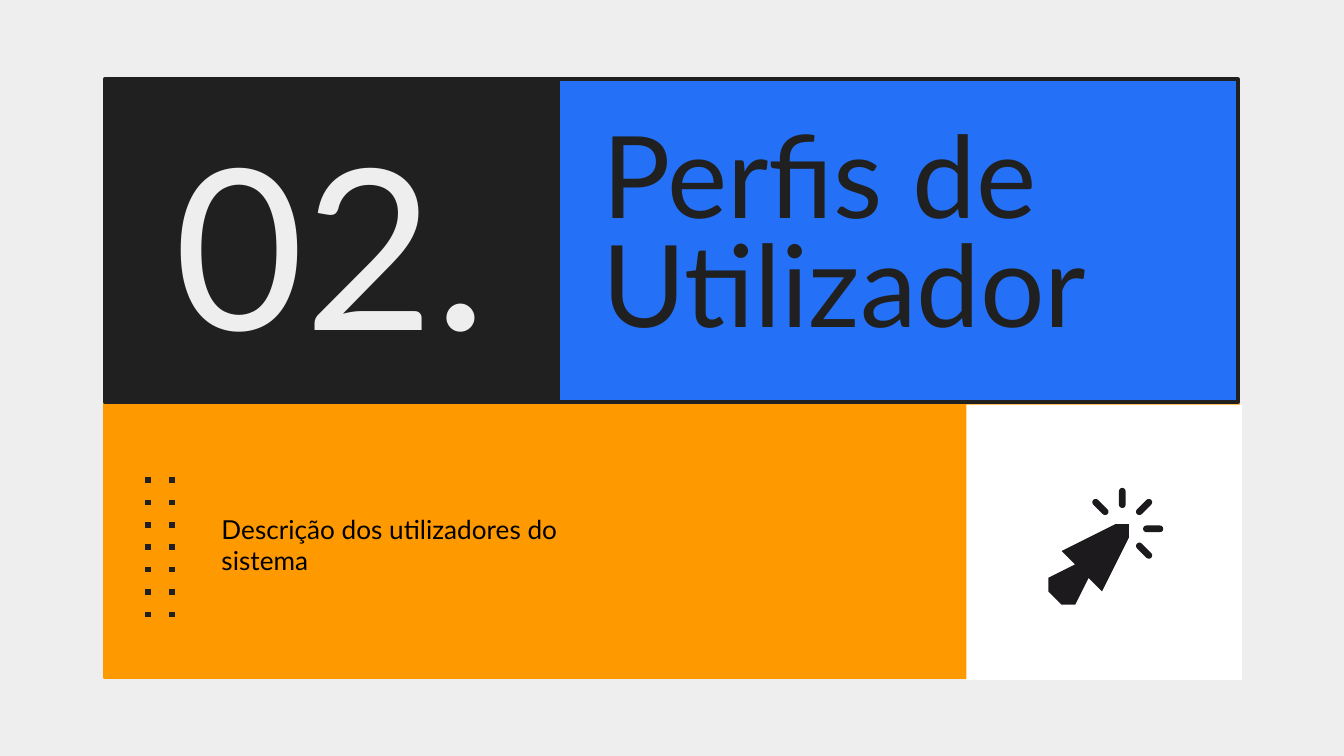
from math import cos, radians, sin

from lxml.etree import SubElement
from pptx import Presentation
from pptx.dml.color import RGBColor
from pptx.enum.shapes import MSO_CONNECTOR, MSO_SHAPE
from pptx.enum.text import MSO_ANCHOR, MSO_AUTO_SIZE, PP_ALIGN
from pptx.oxml.ns import qn
from pptx.util import Inches, Pt

INK = {"page": "EEEEEE", "dark": "202020", "blue": "2471F7", "gold": "FF9900",
       "white": "FFFFFF", "black": "000000", "icon": "1D1A1E"}
INK = {name: RGBColor.from_string(code) for name, code in INK.items()}

deck = Presentation()
deck.slide_width = Inches(10)
deck.slide_height = deck.slide_width * 9 // 16
unit = deck.slide_width // 100  # the grid has 100 columns of square cells

# Grid columns and rows
left, mid, right = 7.8, 41.5, 92.1
top, fold, base = 5.9, 29.9, 50.4

slide = deck.slides.add_slide(deck.slide_layouts[5])
slide.background.fill.solid()
slide.background.fill.fore_color.rgb = INK["page"]
shapes = slide.shapes


def paint(shape, fill, edge=None):
    shape.shadow.inherit = False
    shape.fill.solid()
    shape.fill.fore_color.rgb = INK[fill]
    if edge:
        shape.line.color.rgb = INK[edge]
        shape.line.width = Pt(2.25)
    else:
        shape.line.fill.background()


def write(shape, text, size, color, align=PP_ALIGN.LEFT, gap=None):
    frame = shape.text_frame
    frame.text = text
    frame.word_wrap = True
    frame.auto_size = MSO_AUTO_SIZE.NONE
    frame.vertical_anchor = MSO_ANCHOR.MIDDLE
    frame.margin_left = frame.margin_right = unit
    frame.margin_top = frame.margin_bottom = unit
    line = frame.paragraphs[0]
    line.alignment = align
    line.line_spacing = gap
    font = line.runs[0].font
    font.name, font.size = "Lato", Pt(size)
    font.color.rgb = INK[color]


# Panels: x, y, right edge, bottom edge, fill, outline
panels = [
    (left, fold, right, base, "gold", "gold"),
    (71.9, 30.1, 92.4, 50.6, "white", None),
    (mid, top, right, fold, "blue", "dark"),
    (left, top, mid, fold, "dark", "dark"),
]
for x, y, far, low, fill, edge in panels:
    panel = shapes.add_shape(MSO_SHAPE.RECTANGLE, *[
        int(n * unit) for n in (x, y, far - x, low - y)])
    paint(panel, fill, edge)
write(panel, "02.", 120, "page", PP_ALIGN.CENTER)

# Dotted rules
for x in (11, 12.8):
    rule = shapes.add_connector(MSO_CONNECTOR.STRAIGHT, *[
        int(n * unit) for n in (x, 35.5, x, 46)])
    rule.line.color.rgb = INK["dark"]
    rule.line.width = Pt(3)
    props = rule.element.spPr
    SubElement(props.find(qn("a:ln")), qn("a:prstDash"), val="dot")
    SubElement(props, qn("a:effectLst"))

# Title, brought in front of the panels
title = shapes.title
title.left, title.top = int(43.8 * unit), int(top * unit)
title.width, title.height = int(48.4 * unit), int((fold - top) * unit)
write(title, "Perfis de Utilizador", 61, "dark", gap=0.8)
title.element.getparent().append(title.element)

note = shapes.add_textbox(*[int(n * unit) for n in (15.5, 30.6, 30.7, 19.8)])
write(note, "Descrição dos utilizadores do sistema", 14, "black")

# Click icon: an arrow and five rays around its tip
arrow = [(83.2, 39.3), (78.8, 40.8), (78.66, 41.05), (78.8, 41.3), (79.6, 41.8),
         (78.2, 43.2), (78.12, 43.35), (78.2, 43.5), (79.3, 44.7), (79.5, 44.75),
         (79.7, 44.7), (81.1, 43.3), (81.6, 44.1), (81.8, 44.2), (82, 44),
         (83.6, 39.6), (83.5, 39.35)]
pen = shapes.build_freeform(*arrow[0], scale=unit)
pen.add_line_segments(arrow[1:], close=True)
paint(pen.convert_to_shape(), "icon")

hub_x, hub_y, reach, long, thin = 83.5, 39.35, 2.3, 1.5, 0.5
for turn in range(-135, 46, 45):
    x = hub_x + reach * cos(radians(turn)) - long / 2
    y = hub_y + reach * sin(radians(turn)) - thin / 2
    ray = shapes.add_shape(MSO_SHAPE.ROUNDED_RECTANGLE, *[
        int(n * unit) for n in (x, y, long, thin)])
    ray.adjustments[0] = 0.5
    ray.rotation = turn
    paint(ray, "icon")

deck.save("out.pptx")
